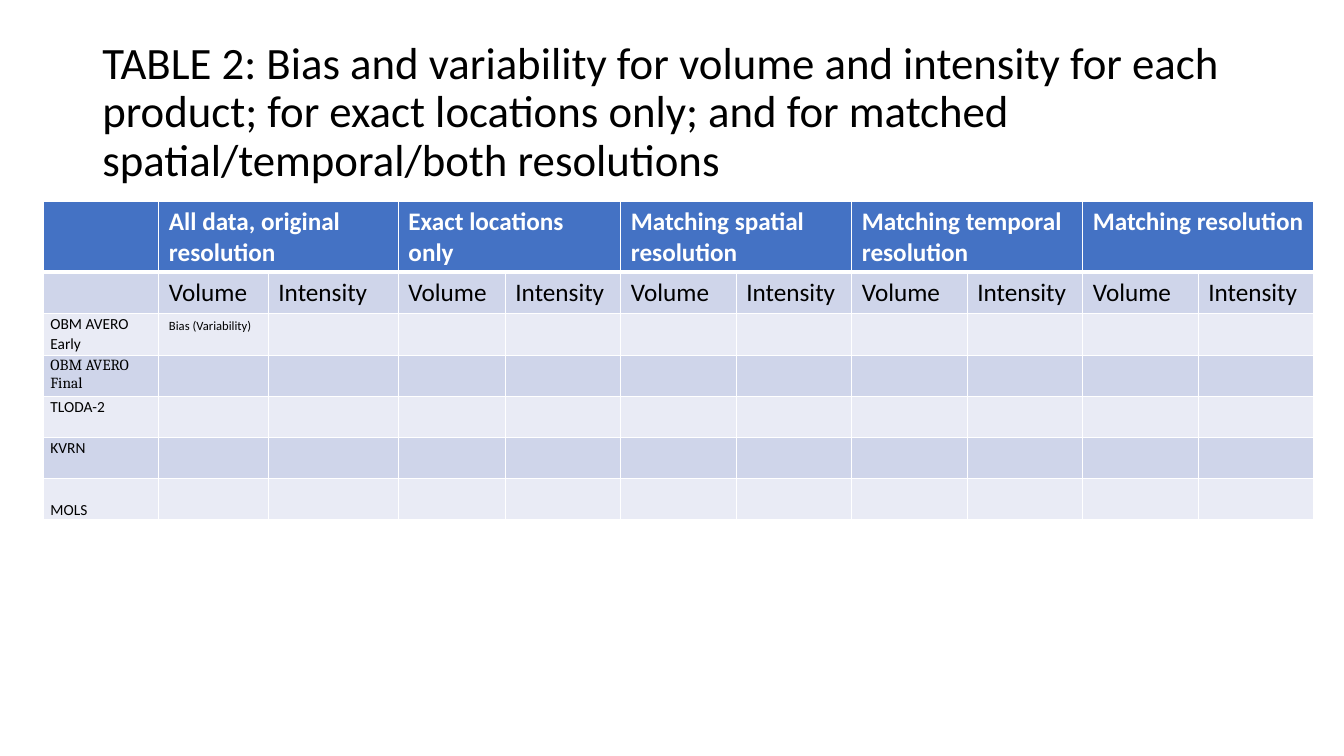
import pptx
import pptx.util
import pptx.dml.color
import pptx.enum.text
import pptx.oxml
import pptx.oxml.ns

Pt = pptx.util.Pt
ANCHOR = pptx.enum.text.MSO_ANCHOR

COLORS = {
    "head": "4472C4",
    "dark": "CFD5EA",
    "light": "E9EBF5",
    "white": "FFFFFF",
    "black": "000000",
}

TITLE = (
    "TABLE 2: Bias and variability for volume and intensity for each product; "
    "for exact locations only; and for matched spatial/temporal/both resolutions"
)
GROUPS = [
    "All data, original resolution",
    "Exact locations only",
    "Matching spatial resolution",
    "Matching temporal resolution",
    "Matching resolution",
]
NAMES = ["OBM AVERO Early", "OBM AVERO Final", "TLODA-2", "KVRN", "MOLS"]
WIDTHS = [82.5, 78.2, 92.9, 76.4] + [82.5] * 7
HEIGHTS = [50, 29.5, 30] + [29.3] * 4

FONTS = {
    "title": {"name": "Calibri", "size": Pt(32), "bold": False},
    "head": {"name": "Calibri", "size": Pt(18), "bold": True},
    "sub": {"name": "Calibri", "size": Pt(18), "bold": False},
    "name": {"name": "Calibri", "size": Pt(11), "bold": False},
    "serif": {"name": "Cambria", "size": Pt(11), "bold": False},
    "note": {"name": "Calibri", "size": Pt(9), "bold": False},
}
INSETS = {
    "margin_left": Pt(5),
    "margin_right": Pt(5),
    "margin_top": 0,
    "margin_bottom": 0,
}
SPACING = {"line_spacing": 1.05, "space_before": Pt(1.8), "space_after": Pt(1.8)}


def apply(item, values):
    for key, value in values.items():
        setattr(item, key, value)


def color(name):
    return pptx.dml.color.RGBColor.from_string(COLORS[name])


def write(frame, text, style, shade="black"):
    para = frame.paragraphs[0]
    run = para.add_run()
    run.text = text
    apply(run.font, FONTS[style])
    run.font.color.rgb = color(shade)
    return para


def paint(cell, shade, top, bottom):
    cell.fill.solid()
    cell.fill.fore_color.rgb = color(shade)
    props = cell._tc.get_or_add_tcPr()
    edges = {"L": 1, "R": 1, "T": top, "B": bottom}
    for spot, (side, width) in enumerate(edges.items()):
        line = pptx.oxml.parse_xml(
            f'<a:ln{side} {pptx.oxml.ns.nsdecls("a")} w="{Pt(width)}">'
            f'<a:solidFill><a:srgbClr val="{COLORS["white"]}"/></a:solidFill>'
            f"</a:ln{side}>"
        )
        props.insert(spot, line)


def title(slide, left, top, width, height):
    box = slide.shapes.add_textbox(Pt(left), Pt(top), Pt(width), Pt(height))
    frame = box.text_frame
    apply(frame, {"word_wrap": True, "vertical_anchor": ANCHOR.MIDDLE})
    para = write(frame, TITLE, "title")
    para.line_spacing = 0.9


def label(cell, name):
    apply(cell, INSETS)
    style = "serif" if name == NAMES[1] else "name"
    para = write(cell.text_frame, name, style)
    apply(para, SPACING)
    if name == NAMES[-1]:
        cell.vertical_anchor = ANCHOR.BOTTOM


def grid(slide, left, top):
    frame = slide.shapes.add_table(
        len(HEIGHTS), len(WIDTHS), Pt(left), Pt(top),
        Pt(sum(WIDTHS)), Pt(sum(HEIGHTS)),
    )
    table = frame.table
    apply(table, {"first_row": False, "horz_banding": False})
    for col, width in zip(table.columns, WIDTHS):
        col.width = Pt(width)
    for index, (row, height) in enumerate(zip(table.rows, HEIGHTS)):
        row.height = Pt(height)
        shade = "head" if index == 0 else "dark" if index % 2 else "light"
        for cell in row.cells:
            paint(cell, shade, 3 if index == 1 else 1, 3 if index == 0 else 1)
    for index, group in enumerate(GROUPS):
        col = 1 + 2 * index
        head = table.cell(0, col)
        head.merge(table.cell(0, col + 1))
        write(head.text_frame, group, "head", "white")
        for step, text in enumerate(["Volume", "Intensity"]):
            write(table.cell(1, col + step).text_frame, text, "sub")
    for index, name in enumerate(NAMES, 2):
        label(table.cell(index, 0), name)
    write(table.cell(2, 1).text_frame, "Bias (Variability)", "note")


def main():
    deck = pptx.Presentation()
    apply(deck, {"slide_width": Pt(960), "slide_height": Pt(540)})
    slide = deck.slides.add_slide(deck.slide_layouts[6])
    title(slide, 66, 28.8, 828, 104.4)
    grid(slide, 31, 144)
    deck.save("out.pptx")


if __name__ == "__main__":
    main()
